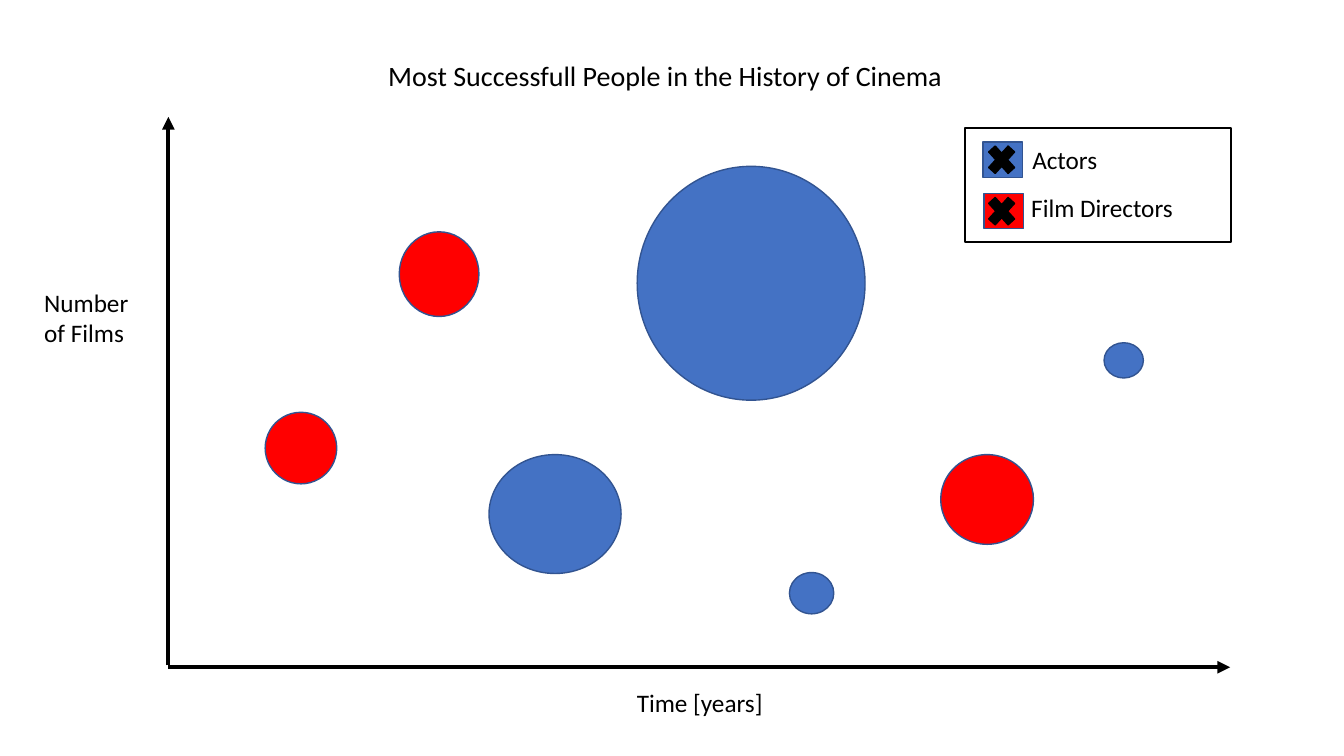
from pptx import Presentation
from pptx import util as u
from pptx.dml.color import RGBColor
from pptx.enum import shapes, text
from pptx.oxml import ns, xmlchemy

PX = 9144
BLACK = RGBColor(0x00, 0x00, 0x00)
BLUE = RGBColor(0x44, 0x72, 0xC4)
RED = RGBColor(0xFF, 0x00, 0x00)
EDGE = RGBColor(0x32, 0x54, 0x91)
FONT = "Calibri"
SHAPE = shapes.MSO_SHAPE

ACTOR_BUBBLES = [
    (318, 335, 131, 118),
    (616, 452, 44, 41),
    (465, 49, 226, 232),
    (928, 224, 39, 35),
]
DIRECTOR_BUBBLES = [
    (96, 293, 71, 71),
    (229, 114, 79, 84),
    (766, 335, 92, 89),
]
LEGEND_ROWS = [("Actors", BLUE, 106), ("Film Directors", RED, 163)]


def emu(*lengths):
    return [u.Emu(n * PX) for n in lengths]


def add_figure(s, kind, box, fill, edge):
    sp = s.shapes.add_shape(kind, *emu(*box))
    sp.shadow.inherit = False
    if fill is None:
        sp.fill.background()
    else:
        sp.fill.solid()
        sp.fill.fore_color.rgb = fill
    sp.line.color.rgb = edge
    sp.line.width = u.Pt(1)


def write(tf, words, size, align):
    tf.text = words
    tf.word_wrap = True
    tf.auto_size = text.MSO_AUTO_SIZE.SHAPE_TO_FIT_TEXT
    tf.vertical_anchor = text.MSO_ANCHOR.TOP
    p = tf.paragraphs[0]
    p.alignment = align
    r = p.runs[0]
    r.font.size = u.Pt(size)
    r.font.name = FONT
    r.font.color.rgb = BLACK


def add_label(s, words, box, align=text.PP_ALIGN.LEFT):
    sp = s.shapes.add_textbox(*emu(*box))
    write(sp.text_frame, words, 18, align)


def add_arrow(s, x1, y1, x2, y2):
    c = s.shapes.add_connector(shapes.MSO_CONNECTOR.STRAIGHT, *emu(x1, y1, x2, y2))
    c.line.color.rgb = BLACK
    c.line.width = u.Pt(3)
    props = c._element.spPr
    head = xmlchemy.OxmlElement("a:tailEnd")
    head.set("type", "triangle")
    props.find(ns.qn("a:ln")).append(head)
    props.append(xmlchemy.OxmlElement("a:effectLst"))


def add_title(s, box):
    sp = s.shapes.title
    sp.left, sp.top, sp.width, sp.height = emu(*box)
    write(sp.text_frame, "Most Successfull People in the History of Cinema", 20,
          text.PP_ALIGN.LEFT)


def add_axes(s, box):
    x, y, w, h = box
    add_arrow(s, x, y + h - 2, x, y)
    add_arrow(s, x, y + h, x + w, y + h)
    add_label(s, "Time [years]", (x + 395, y + h + 15, 264, 40), text.PP_ALIGN.CENTER)
    add_label(s, "Number of Films", (x - 133, y + 164, 114, 71))


def add_bubbles(s, box):
    x, y, _, _ = box
    for bubbles, fill in ((ACTOR_BUBBLES, BLUE), (DIRECTOR_BUBBLES, RED)):
        for dx, dy, w, h in bubbles:
            add_figure(s, SHAPE.OVAL, (x + dx, y + dy, w, h), fill, EDGE)


def add_legend(s, box):
    x, y, _, _ = box
    add_figure(s, SHAPE.RECTANGLE, box, None, BLACK)
    for i, (words, fill, width) in enumerate(LEGEND_ROWS):
        row = y + 51 * i
        add_figure(s, SHAPE.RECTANGLE, (x + 18 + i, row + 14, 39, 35), fill, EDGE)
        add_figure(s, SHAPE.MATH_MULTIPLY, (x + 18, row + 11, 37, 41), BLACK, BLACK)
        add_label(s, words, (x + 57 - i, y + 11 + 48 * i, width, 40))


def main():
    prs = Presentation()
    prs.slide_width, prs.slide_height = emu(1333, 750)
    s = prs.slides.add_slide(prs.slide_layouts.get_by_name("Title Only"))
    plot = (167, 116, 1053, 546)
    add_title(s, (375, 53, 583, 44))
    add_axes(s, plot)
    add_bubbles(s, plot)
    add_legend(s, (957, 127, 264, 113))
    prs.save("out.pptx")


if __name__ == "__main__":
    main()
